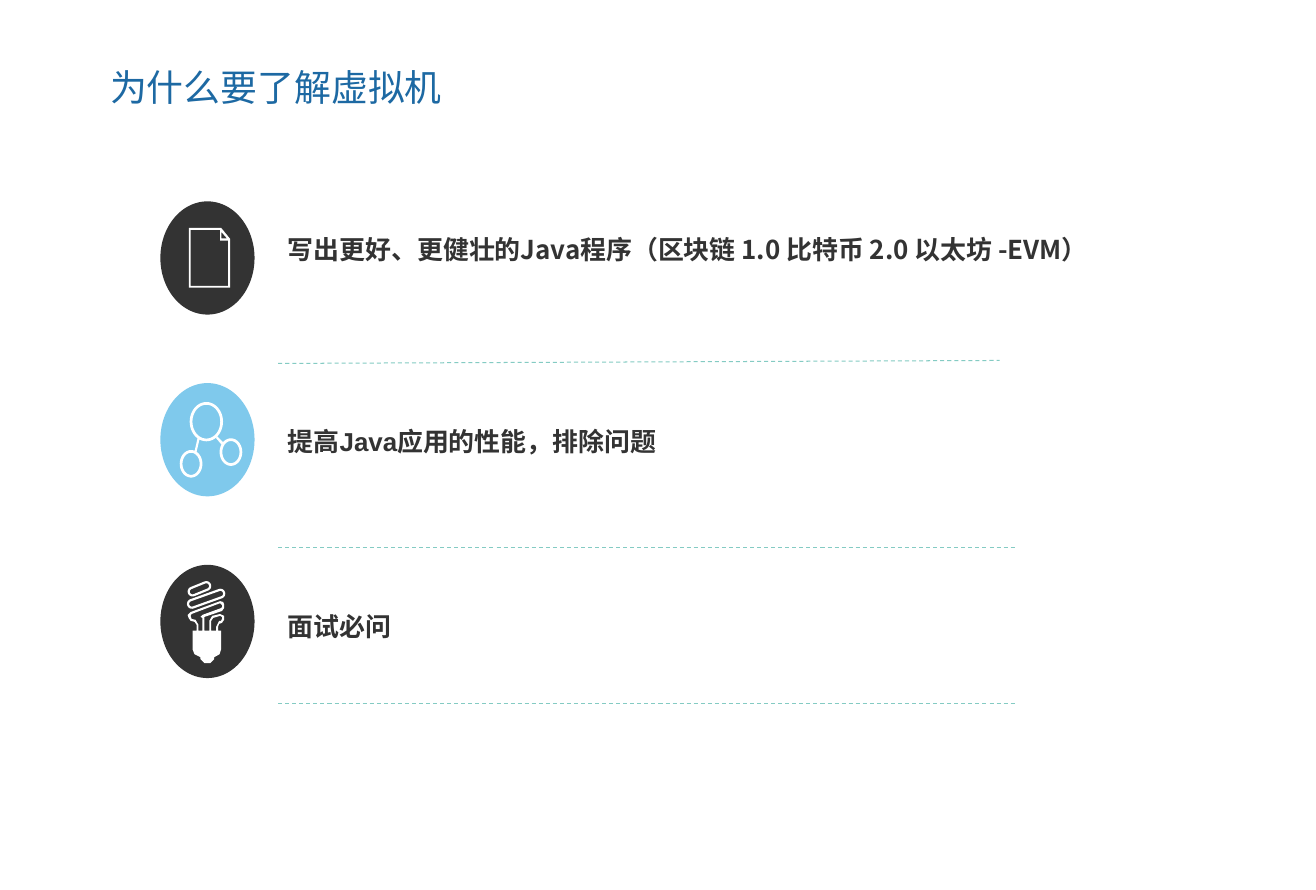
import math

import lxml.etree
import pptx
import pptx.dml.color
import pptx.enum.dml
import pptx.enum.shapes
import pptx.enum.text
import pptx.oxml.ns
import pptx.util

Pt = pptx.util.Pt
qn = pptx.oxml.ns.qn

COLORS = {"title": "1D69A3", "dark": "333333", "sky": "7FC9EC",
          "rule": "84CBC3", "icon": "FFFFFF"}
CJK = "Noto Sans CJK SC"

DISC_LEFT, DISC_TOP, DISC_STEP = 117.5, 147.6, 133.2
DISC_W, DISC_H = 69, 83
TEXT_LEFT = 203.8


def arc(cx, cy, rx, ry, start=0, sweep=360, steps=48):
    """Return points along an elliptical arc, angles in degrees."""
    angles = [math.radians(start + sweep * i / steps) for i in range(steps + 1)]
    return [(cx + rx * math.cos(a), cy + ry * math.sin(a)) for a in angles]


def ring(cx, cy, rx, ry, thickness=2):
    return [arc(cx, cy, rx, ry), arc(cx, cy, rx - thickness, ry - thickness)]


def coil(x1, y1, x2, y2, radii=(3.6, 2)):
    """Return the outer and inner outlines of a slanted capsule."""
    tilt = math.degrees(math.atan2(y2 - y1, x2 - x1))
    return [arc(x2, y2, r, r, tilt - 90, 180, 12)
            + arc(x1, y1, r, r, tilt + 90, 180, 12) for r in radii]


# Icon outlines are measured from the top left of their disc.
PAGE = [
    [(20.8, 19.5), (44.6, 19.5), (51, 27.4), (51, 63.3), (20.8, 63.3)],
    [(44.6, 22.3), (48.8, 27.2), (44.6, 27.2)],
    [(22.2, 20.9), (43.8, 20.9), (43.8, 28.8), (49.6, 28.8), (49.6, 61.9),
     (22.2, 61.9)],
]
MOLECULE = [
    *ring(33.7, 28.3, 12.2, 14.4),
    *ring(22.5, 59.2, 8.3, 10.1),
    *ring(51.7, 50.6, 8.3, 10.1),
    [(45.9, 43.4), (41.6, 39.1), (40.9, 40.5), (44.5, 44.8)],
    [(27.2, 40.5), (25.1, 49.9), (26.5, 50.6), (28.7, 41.2)],
]
BULB = [
    *coil(23.6, 19.6, 33.7, 15.5),
    *coil(23.1, 28.6, 44, 21.1),
    [(43.8, 26.6), (46, 27.2), (46.7, 28.8), (46.7, 31.7), (45.2, 33.8),
     (32.3, 38.2), (32.3, 48.2), (35.9, 48.2), (35.9, 41), (38, 37.4),
     (43.8, 36), (46.7, 37.4), (46.7, 40.3), (45.2, 42.5), (43.1, 43.2),
     (42.3, 45.4), (42.3, 48.2), (44.5, 48.2), (44.5, 61.9), (43.4, 65.5),
     (39.5, 67.7), (39.5, 69.1), (36.6, 72), (32.3, 72), (29.4, 69.1),
     (29.4, 67.7), (25, 65.5), (23.6, 61.9), (23.6, 48.2), (26.5, 48.2),
     (26.5, 43.9), (25.1, 41.8), (22.2, 41), (20.7, 38.9), (20, 36.7),
     (22.2, 34.6)],
    [(43.8, 28.1), (45.2, 29.5), (45.2, 31), (44.5, 31.7), (30.8, 36.7),
     (29.4, 38.2), (30.8, 38.9), (30.8, 48.2), (27.9, 48.2), (27.9, 43.9),
     (25.8, 40.3), (22.9, 39.6), (22.2, 37.4), (22.9, 36)],
    [(44.5, 41), (43.1, 41), (40.9, 45.4), (40.9, 48.2), (37.3, 48.2),
     (37.3, 41), (38.7, 38.9), (43.8, 37.4), (45.2, 38.2), (45.2, 39.6)],
]

# Disc colour, icon, text, font, text top, text width
REASONS = [
    ("dark", PAGE, "写出更好、更健壮的Java程序（区块链 1.0 比特币 2.0 以太坊 -EVM）",
     CJK, 167.8, 608.4),
    ("sky", MOLECULE, "提高Java应用的性能，排除问题", "Arial", 308.2, 528.5),
    ("dark", BULB, "面试必问", CJK, 444.2, 523.4),
]
# Start height, end x, end height
RULES = [(266.4, 732.2, 264.2), (401, 743.8, 401), (515.5, 743.8, 515.5)]


class Deck:
    """Holds the presentation, its current slide and the shared style."""

    def __init__(self, width, height):
        self.prs = pptx.Presentation()
        self.prs.slide_width, self.prs.slide_height = Pt(width), Pt(height)
        self.s = self.prs.slides.add_slide(self.prs.slide_layouts[5])

    def color(self, name):
        return pptx.dml.color.RGBColor.from_string(COLORS[name])

    def set_text(self, sp, text, size, font, color, bold, insets):
        tf = sp.text_frame
        tf.word_wrap = True
        tf.auto_size = pptx.enum.text.MSO_AUTO_SIZE.NONE
        tf.vertical_anchor = pptx.enum.text.MSO_ANCHOR.TOP
        tf.margin_left = tf.margin_right = Pt(insets[0])
        tf.margin_top = tf.margin_bottom = Pt(insets[1])
        p = tf.paragraphs[0]
        p.text = text
        p.alignment = pptx.enum.text.PP_ALIGN.LEFT
        p.font.size, p.font.bold, p.font.name = Pt(size), bold, font
        p.font.color.rgb = self.color(color)
        props = p._p.pPr.find(qn("a:defRPr"))
        lxml.etree.SubElement(props, qn("a:ea"), typeface=CJK)

    def title(self, text, left, top, width, height):
        sp = self.s.shapes.title
        sp.left, sp.top, sp.width, sp.height = map(Pt, (left, top, width, height))
        self.set_text(sp, text, 27, CJK, "title", False, (0, 0))

    def text(self, text, font, left, top, width, height):
        sp = self.s.shapes.add_textbox(*map(Pt, (left, top, width, height)))
        self.set_text(sp, text, 19, font, "dark", True, (7.2, 3.6))

    def paint(self, sp, color):
        sp.shadow.inherit = False
        sp.fill.solid()
        sp.fill.fore_color.rgb = self.color(color)
        sp.line.fill.background()

    def disc(self, color, left, top):
        box = map(Pt, (left, top, DISC_W, DISC_H))
        oval = pptx.enum.shapes.MSO_SHAPE.OVAL
        self.paint(self.s.shapes.add_shape(oval, *box), color)

    def icon(self, outlines, left, top):
        contours = [[(Pt(left + x), Pt(top + y)) for x, y in o] for o in outlines]
        builder = self.s.shapes.build_freeform(*contours[0][0])
        for i, points in enumerate(contours):
            if i:
                builder.move_to(*points[0])
            builder.add_line_segments(points[1:], close=True)
        self.paint(builder.convert_to_shape(), "icon")

    def rule(self, x1, y1, x2, y2):
        straight = pptx.enum.shapes.MSO_CONNECTOR.STRAIGHT
        sp = self.s.shapes.add_connector(straight, *map(Pt, (x1, y1, x2, y2)))
        sp.line.color.rgb = self.color("rule")
        sp.line.width = Pt(0.75)
        sp.line.dash_style = pptx.enum.dml.MSO_LINE.DASH
        lxml.etree.SubElement(sp._element.spPr, qn("a:effectLst"))


def main():
    deck = Deck(964, 652.3)
    deck.title("为什么要了解虚拟机", 80.6, 47.5, 293, 32.4)
    for i, (color, outlines, text, font, top, width) in enumerate(REASONS):
        disc_top = DISC_TOP + i * DISC_STEP
        deck.disc(color, DISC_LEFT, disc_top)
        deck.icon(outlines, DISC_LEFT, disc_top)
        deck.text(text, font, TEXT_LEFT, top, width, 30.6)
    for y1, x2, y2 in RULES:
        deck.rule(TEXT_LEFT, y1, x2, y2)
    deck.prs.save("out.pptx")


if __name__ == "__main__":
    main()
